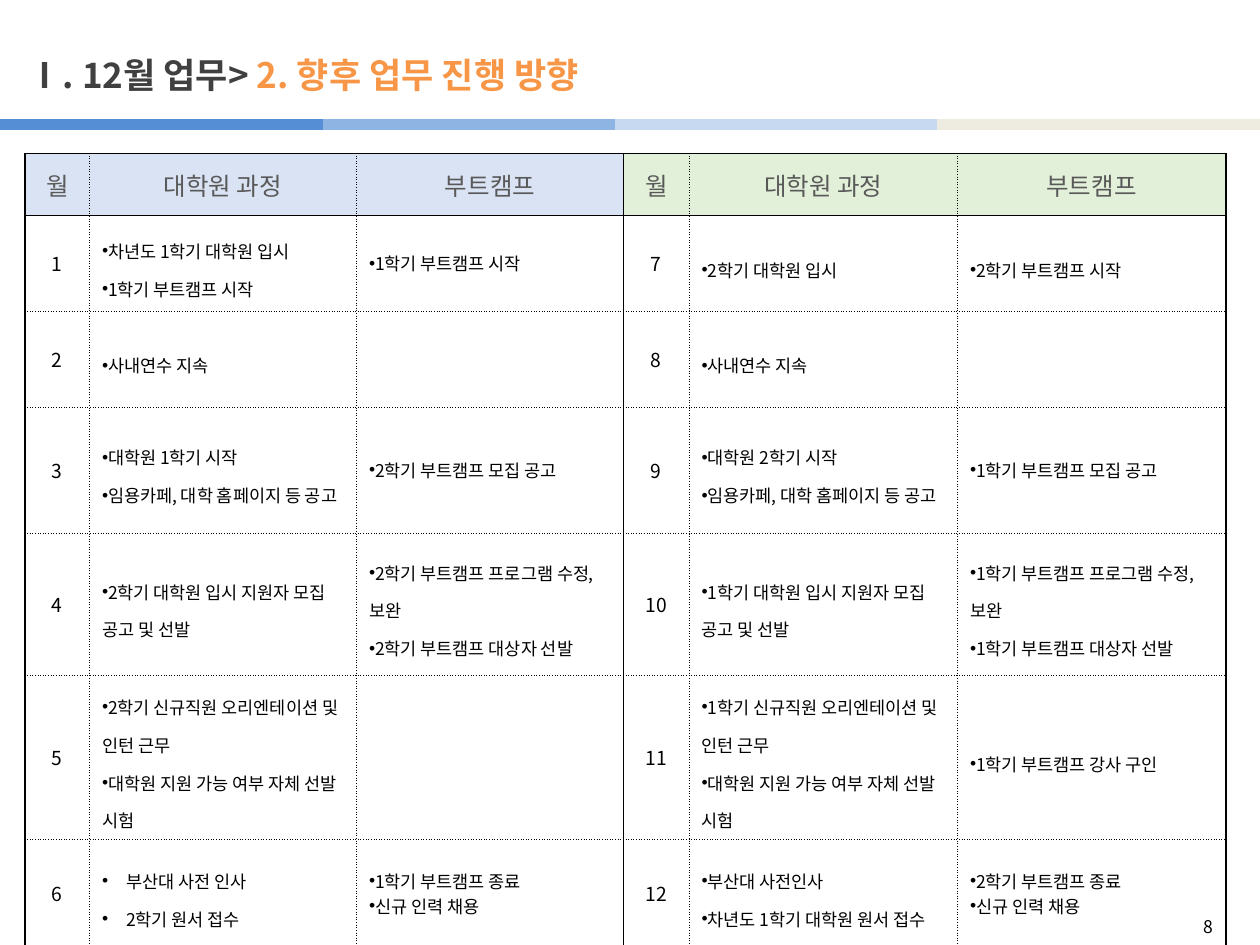
from lxml import etree
from pptx import Presentation
from pptx.dml.color import RGBColor
from pptx.enum.shapes import MSO_CONNECTOR
from pptx.enum.text import MSO_ANCHOR, MSO_AUTO_SIZE, PP_ALIGN
from pptx.oxml.ns import qn
from pptx.util import Inches, Pt

LINE = MSO_CONNECTOR.STRAIGHT
MID = MSO_ANCHOR.MIDDLE
FIXED = MSO_AUTO_SIZE.NONE
LEFT, CENTER, RIGHT = PP_ALIGN.LEFT, PP_ALIGN.CENTER, PP_ALIGN.RIGHT

FONT = "Noto Sans CJK KR"
COLORS = {
    "black": "000000", "dark": "404040", "gray": "595959",
    "orange": "F79646", "blue": "DAE3F3", "green": "E2F0D9",
}
BARS = [(2.32, "8EB4E3"), (4.88, "C6D9F1"), (7.44, "EEECE1"), (0, "558ED5")]
COLS = [0.51, 2.12, 2.12, 0.52, 2.13, 2.13]
ROWS = [0.49, 0.76, 0.76, 0.86, 1.13, 1.13, 0.86]
HEADS = ["월", "대학원 과정", "부트캠프"] * 2
PLANS = [
    (["차년도 1학기 대학원 입시", "1학기 부트캠프 시작"], ["1학기 부트캠프 시작"],
     ["2학기 대학원 입시"], ["2학기 부트캠프 시작"]),
    (["사내연수 지속"], [], ["사내연수 지속"], []),
    (["대학원 1학기 시작", "임용카페, 대학 홈페이지 등 공고"], ["2학기 부트캠프 모집 공고"],
     ["대학원 2학기 시작", "임용카페, 대학 홈페이지 등 공고"], ["1학기 부트캠프 모집 공고"]),
    (["2학기 대학원 입시 지원자 모집 공고 및 선발"],
     ["2학기 부트캠프 프로그램 수정, 보완", "2학기 부트캠프 대상자 선발"],
     ["1학기 대학원 입시 지원자 모집 공고 및 선발"],
     ["1학기 부트캠프 프로그램 수정, 보완", "1학기 부트캠프 대상자 선발"]),
    (["2학기 신규직원 오리엔테이션 및 인턴 근무", "대학원 지원 가능 여부 자체 선발 시험"], [],
     ["1학기 신규직원 오리엔테이션 및 인턴 근무", "대학원 지원 가능 여부 자체 선발 시험"],
     ["1학기 부트캠프 강사 구인"]),
    (["부산대 사전 인사", "2학기 원서 접수"], ["1학기 부트캠프 종료", "신규 인력 채용"],
     ["부산대 사전인사", "차년도 1학기 대학원 원서 접수"], ["2학기 부트캠프 종료", "신규 인력 채용"]),
]
TIGHT = {(1, 2), (3, 2), (3, 5), (6, 2), (6, 5)}
WIDE = {(6, 1)}


def add_run(para, text, size, color, bold=False):
    run = para.add_run()
    run.text = text
    font = run.font
    font.size, font.bold = Pt(size), bold
    font.color.rgb = RGBColor.from_string(COLORS[color])
    font.name = FONT
    etree.SubElement(run._r.get_or_add_rPr(), qn("a:ea"), typeface=FONT)


def add_bullet(para, left, hang):
    props = para._p.get_or_add_pPr()
    props.set("marL", str(Inches(left)))
    props.set("indent", str(Inches(-hang)))
    etree.SubElement(props, qn("a:buFont"), typeface="Arial")
    etree.SubElement(props, qn("a:buChar"), char="•")


def add_edges(cell, row, col):
    props = cell._tc.get_or_add_tcPr()
    edges = [
        ("L", col % 3 == 0), ("R", col % 3 == 2),
        ("T", row < 2), ("B", row in (0, len(ROWS) - 1)),
    ]
    for side, solid in edges:
        edge = etree.SubElement(props, qn("a:ln" + side), w=str(Pt(1 if solid else 0.5)))
        fill = etree.SubElement(edge, qn("a:solidFill"))
        etree.SubElement(fill, qn("a:srgbClr"), val=COLORS["black"])
        etree.SubElement(edge, qn("a:prstDash"), val="solid" if solid else "sysDot")


def add_bars(slide, top, width):
    for left, color in BARS:
        bar = slide.shapes.add_connector(
            LINE, Inches(left), Inches(top), Inches(left + width), Inches(top))
        bar.line.width = Pt(6)
        bar.line.color.rgb = RGBColor.from_string(color)
        etree.SubElement(bar._element.spPr, qn("a:effectLst"))


def add_title(slide, left, top, width, height):
    title = slide.shapes.title
    title.left, title.top = Inches(left), Inches(top)
    title.width, title.height = Inches(width), Inches(height)
    frame = title.text_frame
    frame.auto_size, frame.vertical_anchor = FIXED, MID
    para = frame.paragraphs[0]
    para.alignment = LEFT
    add_run(para, "Ⅰ. 12월 업무> ", 20, "dark", True)
    add_run(para, "2. 향후 업무 진행 방향", 20, "orange", True)


def fill_list(cell, items, spot):
    frame = cell.text_frame
    for i, item in enumerate(items):
        para = frame.add_paragraph() if i else frame.paragraphs[0]
        add_bullet(para, *((0.19, 0.19) if spot in WIDE else (0, 0.12)))
        if spot not in TIGHT:
            para.line_spacing = 1.5
        add_run(para, item, 10, "black")


def fill_label(cell, text, size, color):
    para = cell.text_frame.paragraphs[0]
    para.alignment = CENTER
    add_run(para, text, size, color)


def add_plan(slide, left, top, width, height):
    table = slide.shapes.add_table(
        len(ROWS), len(COLS), Inches(left), Inches(top), Inches(width), Inches(height)).table
    table.first_row = table.horz_banding = False
    for col, size in zip(table.columns, COLS):
        col.width = Inches(size)
    for row, size in zip(table.rows, ROWS):
        row.height = Inches(size)
    for r in range(len(ROWS)):
        for c in range(len(COLS)):
            cell = table.cell(r, c)
            cell.vertical_anchor = MID
            add_edges(cell, r, c)
            half, part = divmod(c, 3)
            if r == 0:
                cell.fill.solid()
                tint = COLORS["green" if half else "blue"]
                cell.fill.fore_color.rgb = RGBColor.from_string(tint)
                fill_label(cell, HEADS[c], 14, "gray")
                continue
            cell.fill.background()
            if part == 0:
                fill_label(cell, str(r + 6 * half), 11, "black")
            else:
                fill_list(cell, PLANS[r - 1][2 * half + part - 1], (r, c))


def add_page(slide, left, top, width, height):
    box = slide.shapes.add_textbox(Inches(left), Inches(top), Inches(width), Inches(height))
    box.text_frame.word_wrap = True
    para = box.text_frame.paragraphs[0]
    para.alignment = RIGHT
    add_run(para, "8", 10, "black")


def main():
    deck = Presentation()
    deck.slide_width, deck.slide_height = Inches(10), Inches(7.5)
    slide = deck.slides.add_slide(deck.slide_layouts[5])
    add_bars(slide, 0.99, 2.56)
    add_title(slide, 0.12, 0.29, 5.91, 0.6)
    add_plan(slide, 0.2, 1.22, sum(COLS), sum(ROWS))
    add_page(slide, 7.4, 7.22, 2.33, 0.28)
    deck.save("out.pptx")


if __name__ == "__main__":
    main()
